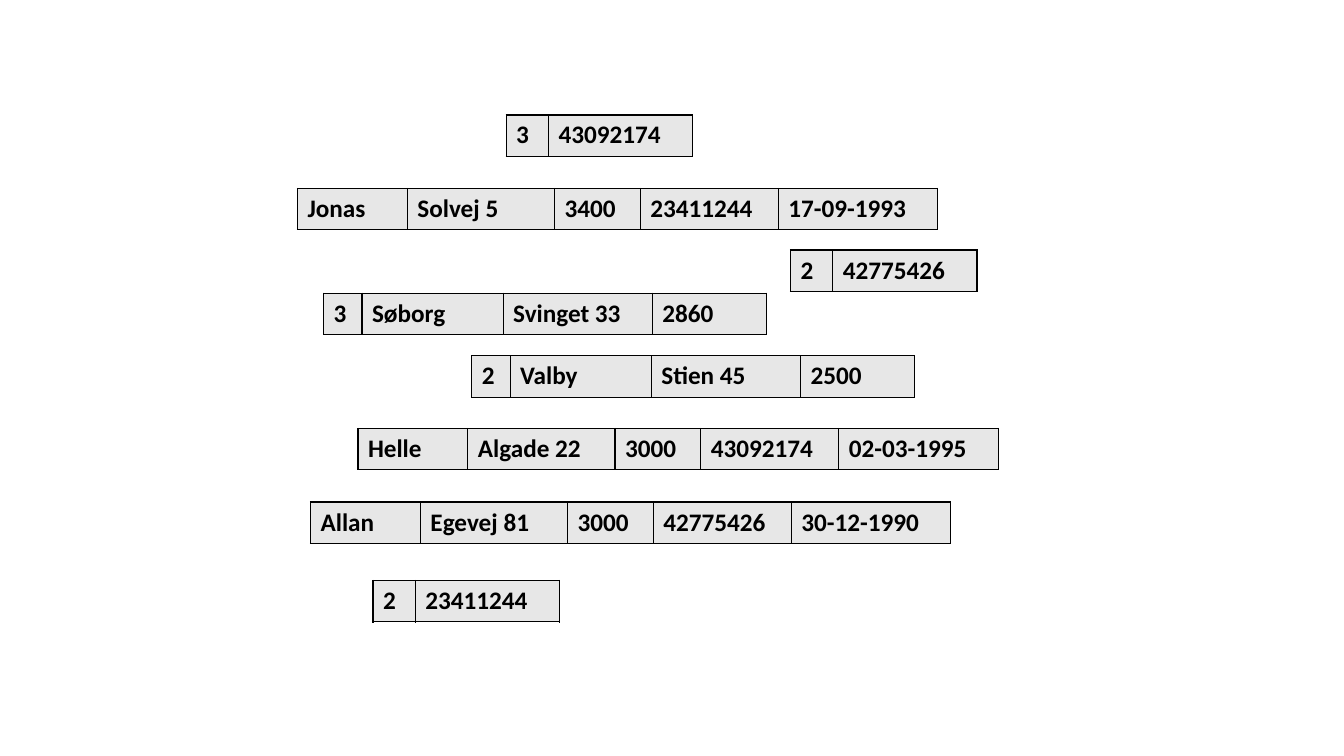
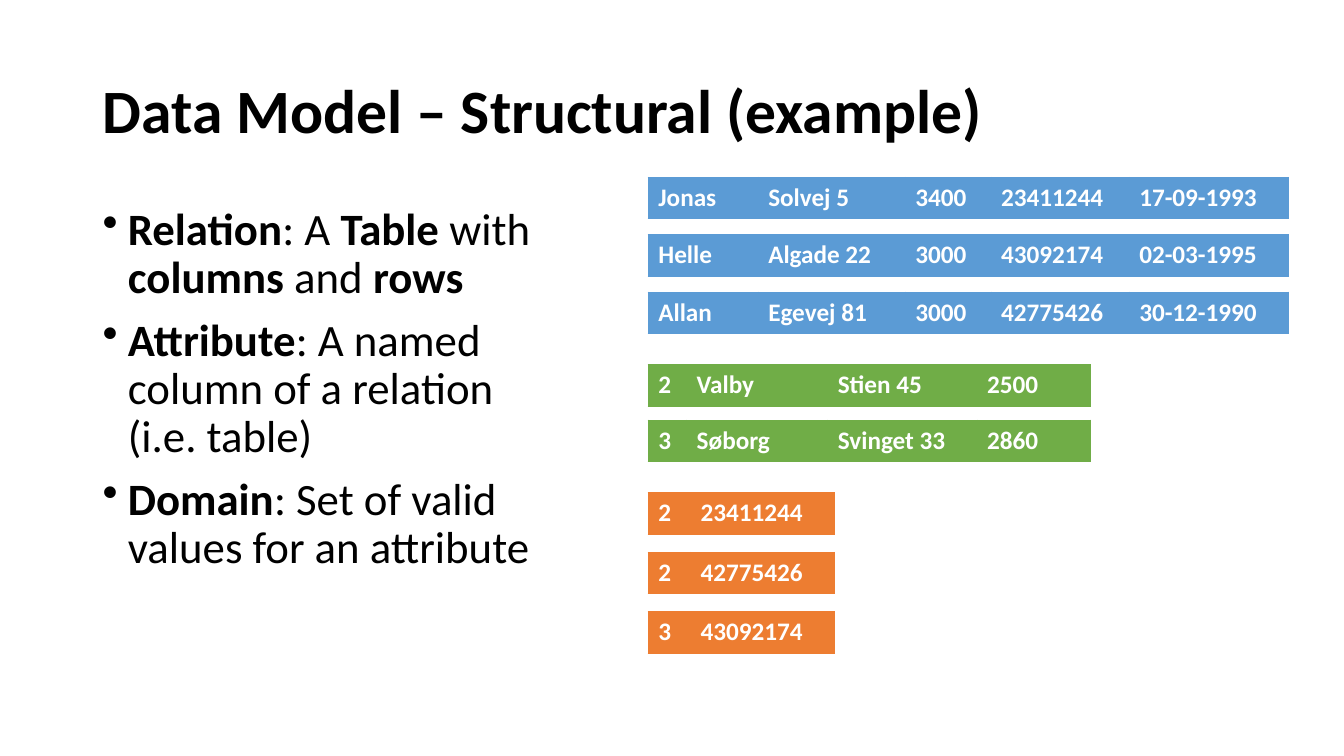
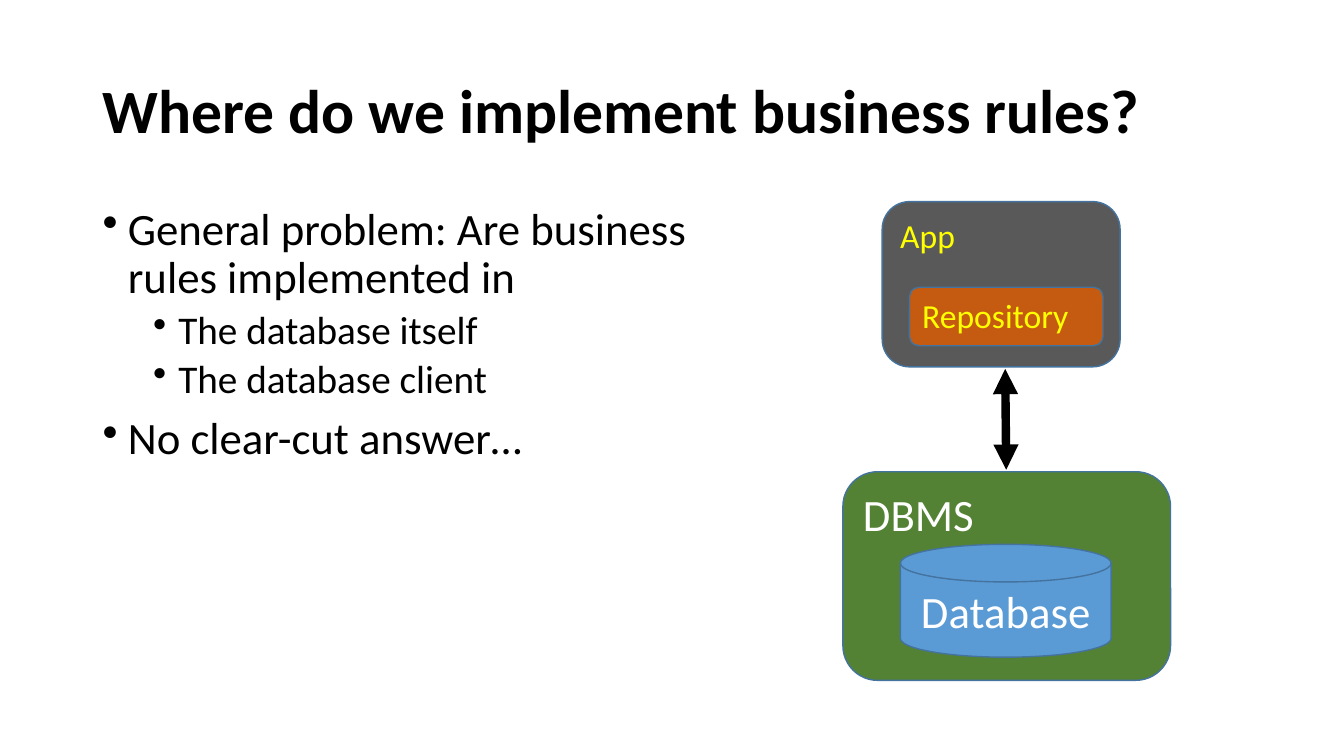
from lxml import etree
from pptx import Presentation
from pptx.dml.color import RGBColor
from pptx.enum.shapes import MSO_CONNECTOR, MSO_SHAPE
from pptx.enum.text import MSO_ANCHOR, PP_ALIGN
from pptx.oxml.ns import qn
from pptx.util import Emu, Pt

ROUNDED = MSO_SHAPE.ROUNDED_RECTANGLE
DISK = MSO_SHAPE.FLOWCHART_MAGNETIC_DISK
STRAIGHT = MSO_CONNECTOR.STRAIGHT
TOP, MIDDLE = MSO_ANCHOR.TOP, MSO_ANCHOR.MIDDLE
LEFT, CENTER = PP_ALIGN.LEFT, PP_ALIGN.CENTER

EMU_PER_PX = 9144
FONT = "Calibri"
COLORS = {
    "black": "000000",
    "white": "FFFFFF",
    "yellow": "FFFF00",
    "light_gray": "E7E7E7",
    "dark_gray": "595959",
    "blue": "5B9BD5",
    "green": "70AD47",
    "orange": "ED7D31",
    "dark_green": "548235",
    "dark_orange": "C55A11",
    "outline": "43739E",
}

TITLE_BOX = (92, 40, 1150, 145)
BODY_LEFT, BODY_TOP, BODY_HEIGHT = 92, 200, 476
LEVELS = [
    {"size": 32, "indent": 25, "before": 10},
    {"size": 28, "indent": 75, "before": 5},
]
HANGING = 25

ROW_HEIGHT = 41
PERSON_COLUMNS = [109, 146, 85, 137, 158]
BRANCH_COLUMNS = [38, 140, 148, 113]
PHONE_COLUMNS = [42, 143]

JONAS = ["Jonas", "Solvej 5", "3400", "23411244", "17-09-1993"]
HELLE = ["Helle", "Algade 22", "3000", "43092174", "02-03-1995"]
ALLAN = ["Allan", "Egevej 81", "3000", "42775426", "30-12-1990"]
VALBY = ["2", "Valby", "Stien 45", "2500"]
SOBORG = ["3", "Søborg", "Svinget 33", "2860"]
JONAS_PHONE = ["2", "23411244"]
ALLAN_PHONE = ["2", "42775426"]
HELLE_PHONE = ["3", "43092174"]

SCATTERED_RECORDS = [
    (502, 114, PHONE_COLUMNS, HELLE_PHONE),
    (295, 187, PERSON_COLUMNS, JONAS),
    (784, 248, PHONE_COLUMNS, ALLAN_PHONE),
    (321, 291, BRANCH_COLUMNS, SOBORG),
    (468, 353, BRANCH_COLUMNS, VALBY),
    (355, 425, PERSON_COLUMNS, HELLE),
    (308, 498, PERSON_COLUMNS, ALLAN),
    (370, 576, PHONE_COLUMNS, JONAS_PHONE),
]
RELATIONS = [
    (0, 57, "blue", PERSON_COLUMNS, [JONAS, HELLE, ALLAN]),
    (186, 55, "green", BRANCH_COLUMNS, [VALBY, SOBORG]),
    (313, 59, "orange", PHONE_COLUMNS, [JONAS_PHONE, ALLAN_PHONE, HELLE_PHONE]),
]
STRUCTURE_BULLETS = [
    (0, "**Relation**: A **Table** with **columns** and **rows**"),
    (0, "**Attribute**: A named column of a relation (i.e. table)"),
    (0, "**Domain**: Set of valid values for an attribute"),
]
RULES_BULLETS = [
    (0, "General problem: Are business rules implemented in"),
    (1, "The database itself"),
    (1, "The database client"),
    (0, "No clear-cut answer…"),
]


def px(value):
    return Emu(value * EMU_PER_PX)


def color(name):
    return RGBColor.from_string(COLORS[name])


def write_text(paragraph, text, *, size, ink="black", bold=False, align=LEFT,
               line_spacing=None, before=None):
    paragraph.alignment = align
    if line_spacing:
        paragraph.line_spacing = line_spacing
    if before:
        paragraph.space_before = Pt(before)
    for index, part in enumerate(text.split("**")):
        if part:
            run = paragraph.add_run()
            run.text = part
            run.font.name = FONT
            run.font.size = Pt(size)
            run.font.bold = bold or index % 2 == 1
            run.font.color.rgb = color(ink)


def add_text_frame(slide, box, anchor):
    frame = slide.shapes.add_textbox(*map(px, box)).text_frame
    frame.word_wrap = True
    frame.vertical_anchor = anchor
    return frame


def add_title(slide, text):
    frame = add_text_frame(slide, TITLE_BOX, MIDDLE)
    write_text(frame.paragraphs[0], text, size=44, bold=True, line_spacing=0.9)


def add_bullets(slide, width, bullets):
    frame = add_text_frame(slide, (BODY_LEFT, BODY_TOP, width, BODY_HEIGHT), TOP)
    for index, (level, text) in enumerate(bullets):
        paragraph = frame.add_paragraph() if index else frame.paragraphs[0]
        style = LEVELS[level]
        paragraph.level = level
        write_text(paragraph, text, size=style["size"], before=style["before"],
                   line_spacing=0.9)
        properties = paragraph._p.get_or_add_pPr()
        properties.set("marL", str(px(style["indent"])))
        properties.set("indent", str(-px(HANGING)))
        etree.SubElement(properties, qn("a:buChar"), char="•")


def set_borders(cell, name, width):
    properties = cell._tc.get_or_add_tcPr()
    for side in ("lnL", "lnR", "lnT", "lnB"):
        line = etree.SubElement(properties, qn(f"a:{side}"), w=str(Pt(width)))
        fill = etree.SubElement(line, qn("a:solidFill"))
        etree.SubElement(fill, qn("a:srgbClr"), val=COLORS[name])


def add_record(slide, left, top, columns, values, *, fill, border, ink):
    table = slide.shapes.add_table(1, len(columns), px(left), px(top),
                                   px(sum(columns)), px(ROW_HEIGHT)).table
    table.first_row = False
    table.horz_banding = False
    for column, width in zip(table.columns, columns):
        column.width = px(width)
    for cell, value in zip(table.iter_cells(), values):
        set_borders(cell, border, 1)
        cell.fill.solid()
        cell.fill.fore_color.rgb = color(fill)
        write_text(cell.text_frame.paragraphs[0], value, size=18, ink=ink, bold=True)


def add_relations(slide, left, top):
    for offset, pitch, fill, columns, records in RELATIONS:
        for index, values in enumerate(records):
            add_record(slide, left, top + offset + index * pitch, columns, values,
                       fill=fill, border=fill, ink="white")


def add_block(slide, kind, box, text, *, fill, ink, size, anchor=TOP, align=LEFT):
    shape = slide.shapes.add_shape(kind, *map(px, box))
    shape.shadow.inherit = False
    shape.fill.solid()
    shape.fill.fore_color.rgb = color(fill)
    shape.line.color.rgb = color("outline")
    shape.line.width = Pt(1)
    shape.text_frame.word_wrap = True
    shape.text_frame.vertical_anchor = anchor
    write_text(shape.text_frame.paragraphs[0], text, size=size, ink=ink, align=align)


def add_double_arrow(slide, start, end):
    connector = slide.shapes.add_connector(STRAIGHT, *map(px, start + end))
    connector.line.color.rgb = color("black")
    connector.line.width = Pt(6)
    properties = connector.element.spPr
    line = properties.find(qn("a:ln"))
    for tip in ("headEnd", "tailEnd"):
        etree.SubElement(line, qn(f"a:{tip}"), type="triangle")
    etree.SubElement(properties, qn("a:effectLst"))


def add_architecture(slide, left, top):
    add_block(slide, ROUNDED, (left, top + 268, 325, 207), "DBMS",
              fill="dark_green", ink="white", size=32)
    add_block(slide, DISK, (left + 57, top + 340, 209, 112), "Database",
              fill="blue", ink="white", size=32, anchor=MIDDLE, align=CENTER)
    add_block(slide, ROUNDED, (left + 39, top, 236, 164), "App",
              fill="dark_gray", ink="yellow", size=24)
    add_block(slide, ROUNDED, (left + 66, top + 85, 192, 58), "Repository",
              fill="dark_orange", ink="yellow", size=24)
    add_double_arrow(slide, (left + 161, top + 166), (left + 162, top + 266))


def build_records_slide(slide):
    for left, top, columns, values in SCATTERED_RECORDS:
        add_record(slide, left, top, columns, values,
                   fill="light_gray", border="black", ink="black")


def build_structure_slide(slide):
    add_title(slide, "Data Model – Structural (example)")
    add_bullets(slide, 457, STRUCTURE_BULLETS)
    add_relations(slide, 643, 176)


def build_rules_slide(slide):
    add_title(slide, "Where do we implement business rules?")
    add_bullets(slide, 619, RULES_BULLETS)
    add_architecture(slide, 836, 200)


def main():
    presentation = Presentation()
    presentation.slide_width = px(1333)
    presentation.slide_height = px(750)
    blank = presentation.slide_layouts[6]
    for build in (build_records_slide, build_structure_slide, build_rules_slide):
        build(presentation.slides.add_slide(blank))
    presentation.save("out.pptx")


if __name__ == "__main__":
    main()
